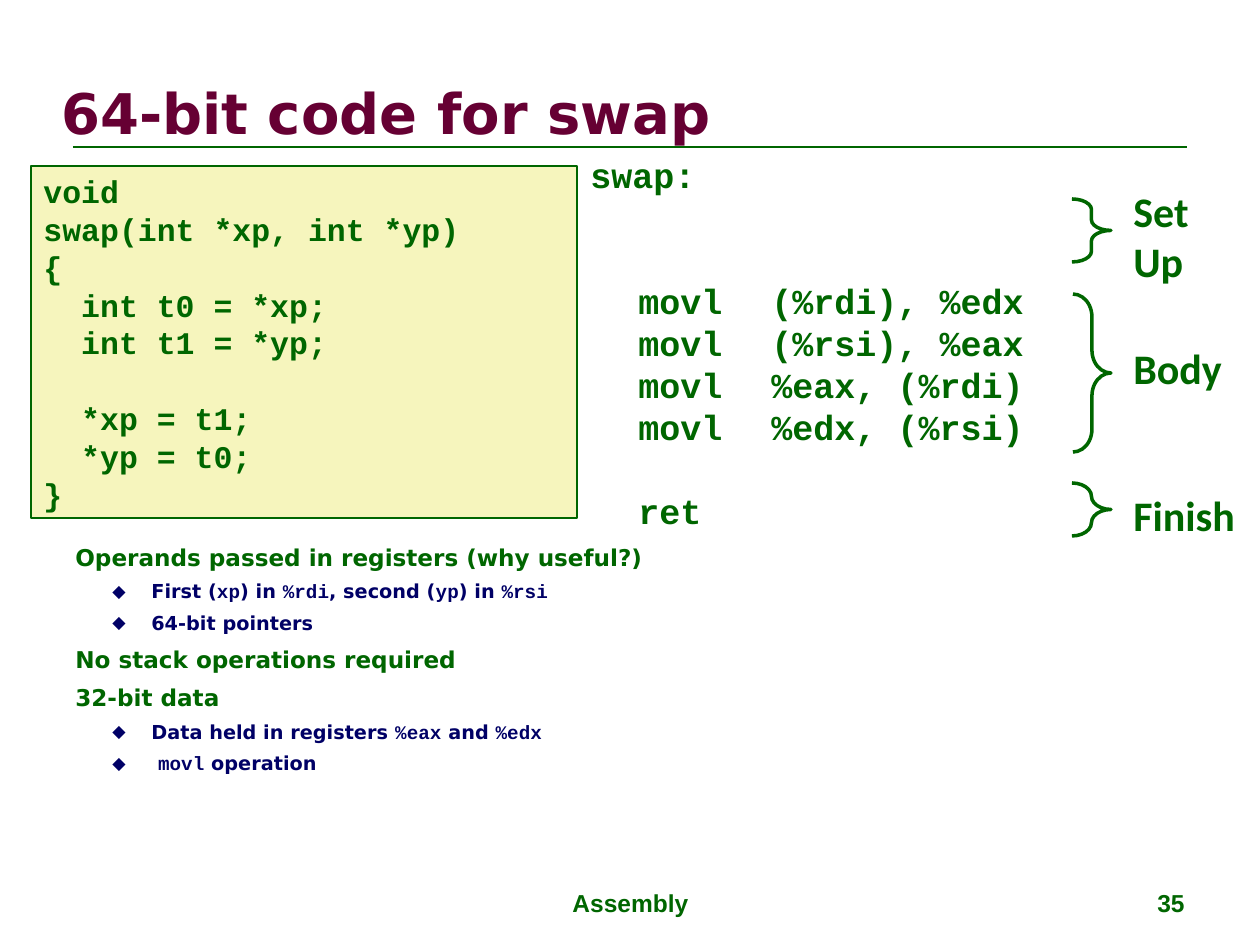
from dataclasses import dataclass

from lxml import etree
from pptx import Presentation
from pptx.dml.color import RGBColor
from pptx.enum import shapes, text
from pptx.oxml import ns
from pptx.util import Emu, Pt

EMU_PER_PX = 914400 / 126
GREEN, NAVY, MAROON, CREAM = "006600", "000066", "660033", "F6F5BD"
SANS, MONO, LABEL, FOOT = "DejaVu Sans", "Courier New", "Calibri", "Arial"


@dataclass
class Box:
    left: int
    top: int
    width: int
    height: int


@dataclass
class Style:
    font: str
    size: float
    color: str = GREEN


@dataclass
class Section:
    """A part of the assembly listing: its brace and its label."""
    lines: list[str]
    label: Box
    brace: Box
    curl: float


@dataclass
class Point:
    level: int
    runs: list[tuple[str, str]]


def px(length: float) -> Emu:
    return Emu(round(length * EMU_PER_PX))


def rgb(color: str) -> RGBColor:
    return RGBColor.from_string(color)


def place(box: Box) -> tuple[Emu, ...]:
    return px(box.left), px(box.top), px(box.width), px(box.height)


def add_run(paragraph, words: str, style: Style) -> None:
    run = paragraph.add_run()
    run.text = words
    run.font.name = style.font
    run.font.size = Pt(style.size)
    run.font.bold = True
    run.font.color.rgb = rgb(style.color)


def next_paragraph(frame, first: bool):
    return frame.paragraphs[0] if first else frame.add_paragraph()


def add_text(slide, box: Box, lines: list[str], style: Style,
             align=text.PP_ALIGN.LEFT, anchor=text.MSO_ANCHOR.TOP, wrap=True) -> None:
    frame = slide.shapes.add_textbox(*place(box)).text_frame
    frame.word_wrap = wrap
    frame.vertical_anchor = anchor
    for i, line in enumerate(lines):
        paragraph = next_paragraph(frame, i == 0)
        paragraph.alignment = align
        add_run(paragraph, line, style)


def add_code(frame, groups: list[list[str]], style: Style, gaps: list[int],
             tabs: tuple[int, ...] = ()) -> None:
    """Write groups of code lines, each after a gap counted in lines."""
    pitch = style.size * 1.2
    frame.word_wrap = True
    frame.vertical_anchor = text.MSO_ANCHOR.TOP
    for g, (group, gap) in enumerate(zip(groups, gaps)):
        for i, line in enumerate(group):
            paragraph = next_paragraph(frame, g == i == 0)
            paragraph.alignment = text.PP_ALIGN.LEFT
            paragraph.line_spacing = Pt(pitch)
            if i == 0 and gap:
                paragraph.space_before = Pt(pitch * gap)
            if tabs:
                stops = etree.SubElement(paragraph._p.get_or_add_pPr(), ns.qn("a:tabLst"))
                for stop in tabs:
                    etree.SubElement(stops, ns.qn("a:tab"), pos=str(px(stop)), algn="l")
            add_run(paragraph, line, style)


def add_brace(slide, box: Box, curl: float) -> None:
    brace = slide.shapes.add_shape(shapes.MSO_SHAPE.RIGHT_BRACE, *place(box))
    brace.adjustments[0] = curl
    brace.shadow.inherit = False
    brace.fill.background()
    brace.line.color.rgb = rgb(GREEN)
    brace.line.width = Pt(2)


def add_points(slide, box: Box, points: list[Point]) -> None:
    frame = slide.shapes.add_textbox(*place(box)).text_frame
    frame.word_wrap = True
    for i, point in enumerate(points):
        paragraph = next_paragraph(frame, i == 0)
        paragraph.level = point.level
        if i:
            paragraph.space_before = Pt(5 if point.level else 6)
        props = paragraph._p.get_or_add_pPr()
        margin, hang = (76, 39) if point.level else (48, 48)
        props.set("marL", str(px(margin)))
        props.set("indent", str(-px(hang)))
        if point.level:
            tint = etree.SubElement(props, ns.qn("a:buClr"))
            etree.SubElement(tint, ns.qn("a:srgbClr"), val=NAVY)
            etree.SubElement(props, ns.qn("a:buSzPct"), val="90000")
            etree.SubElement(props, ns.qn("a:buFont"), typeface=SANS)
            etree.SubElement(props, ns.qn("a:buChar"), char="◆")
        size, color = (11, NAVY) if point.level else (13.2, GREEN)
        for words, font in point.runs:
            add_run(paragraph, words, Style(font, size, color))


C_CODE = [
    ["void", "swap(int *xp, int *yp)", "{", "  int t0 = *xp;", "  int t1 = *yp;"],
    ["  *xp = t1;", "  *yp = t0;", "}"],
]

ASM_CODE = [
    ["swap:"],
    ["\tmovl\t(%rdi), %edx", "\tmovl\t(%rsi), %eax",
     "\tmovl\t%eax, (%rdi)", "\tmovl\t%edx, (%rsi)"],
    ["\tret"],
]

SECTIONS = [
    Section(["Set", "Up"], Box(1121, 179, 127, 113), Box(1072, 199, 39, 63), 0.27),
    Section(["Body"], Box(1121, 336, 127, 63), Box(1073, 294, 38, 158), 0.6),
    Section(["Finish"], Box(1121, 483, 127, 63), Box(1072, 483, 39, 53), 0.34),
]

POINTS = [
    Point(0, [("Operands passed in registers (why useful?)", SANS)]),
    Point(1, [("First (", SANS), ("xp", MONO), (") in ", SANS), ("%rdi", MONO),
              (", second (", SANS), ("yp", MONO), (") in ", SANS), ("%rsi", MONO)]),
    Point(1, [("64-bit pointers", SANS)]),
    Point(0, [("No stack operations required", SANS)]),
    Point(0, [("32-bit data", SANS)]),
    Point(1, [("Data held in registers ", SANS), ("%eax", MONO),
              (" and ", SANS), ("%edx", MONO)]),
    Point(1, [(" ", SANS), ("movl", MONO), (" operation", SANS)]),
]


def main() -> None:
    deck = Presentation()
    deck.slide_width, deck.slide_height = px(1260), px(945)
    slide = deck.slides.add_slide(deck.slide_layouts[6])

    # Title and its rule
    rule = slide.shapes.add_connector(shapes.MSO_CONNECTOR.STRAIGHT,
                                      px(73), px(147), px(1187), px(147))
    rule.line.color.rgb = rgb(GREEN)
    rule.line.width = Pt(1.5)
    etree.SubElement(rule._element.spPr, ns.qn("a:effectLst"))
    add_text(slide, Box(49, 60, 1046, 105), ["64-bit code for swap"],
             Style(SANS, 32, MAROON), anchor=text.MSO_ANCHOR.MIDDLE)

    # Remarks
    add_points(slide, Box(63, 537, 1134, 239), POINTS)

    # C source
    source = slide.shapes.add_shape(shapes.MSO_SHAPE.RECTANGLE,
                                    *place(Box(31, 166, 546, 352)))
    source.shadow.inherit = False
    source.fill.solid()
    source.fill.fore_color.rgb = rgb(CREAM)
    source.line.color.rgb = rgb(GREEN)
    source.line.width = Pt(1)
    add_code(source.text_frame, C_CODE, Style(MONO, 18), gaps=[0, 1])

    # Assembly listing with its sections
    listing = slide.shapes.add_textbox(*place(Box(578, 147, 577, 391)))
    add_code(listing.text_frame, ASM_CODE, Style(MONO, 20), gaps=[0, 2, 1],
             tabs=(48, 181))
    for section in SECTIONS:
        add_brace(slide, section.brace, section.curl)
        add_text(slide, section.label, section.lines, Style(LABEL, 24), wrap=False)

    # Footer
    add_text(slide, Box(431, 882, 399, 44), ["Assembly"], Style(FOOT, 14),
             align=text.PP_ALIGN.CENTER)
    add_text(slide, Box(903, 882, 294, 44), ["35"], Style(FOOT, 14),
             align=text.PP_ALIGN.RIGHT)

    deck.save("out.pptx")


if __name__ == "__main__":
    main()
